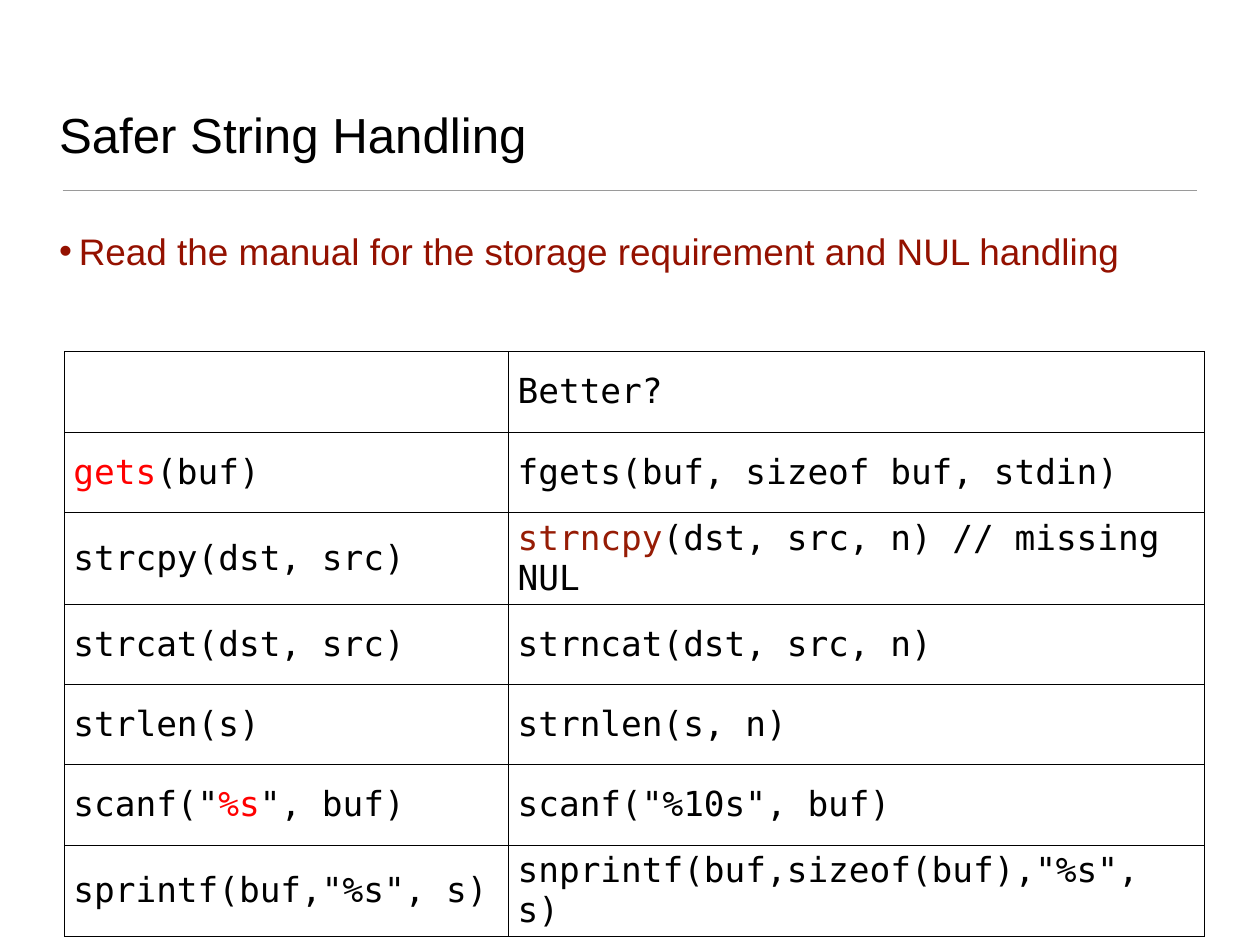
from lxml.etree import SubElement
from pptx import Presentation
from pptx.dml.color import RGBColor
from pptx.enum.shapes import MSO_CONNECTOR
from pptx.enum.text import MSO_ANCHOR
from pptx.oxml.ns import qn
from pptx.util import Pt

BLACK, WHITE, RED, MAROON, BROWN, GREY = (
    "000000", "FFFFFF", "FF0000", "941100", "961C05", "9A9A9A")
MARGINS = ("margin_left", "margin_right", "margin_top", "margin_bottom")
CODE_ROWS = [
    ([], [("Better?", BLACK)]),
    ([("gets", RED), ("(buf)", BLACK)],
     [("fgets(buf, sizeof buf, stdin)", BLACK)]),
    ([("strcpy(dst, src)", BLACK)],
     [("strncpy", BROWN), ("(dst, src, n) // missing NUL", BLACK)]),
    ([("strcat(dst, src)", BLACK)], [("strncat(dst, src, n)", BLACK)]),
    ([("strlen(s)", BLACK)], [("strnlen(s, n)", BLACK)]),
    ([('scanf("', BLACK), ("%s", RED), ('", buf)', BLACK)],
     [('scanf("%10s", buf)', BLACK)]),
    ([('sprintf(buf,"%s", s)', BLACK)],
     [('snprintf(buf,sizeof(buf),"%s", s)', BLACK)]),
]


def color(value):
    """Turn a hex string into a colour."""
    return RGBColor.from_string(value)


def apply(target, formats):
    """Set every format value on the target."""
    for name, value in formats.items():
        setattr(target, name, value)


def add_runs(paragraph, runs, size, font):
    """Append coloured runs to a paragraph."""
    for text, shade in runs:
        run = paragraph.add_run()
        run.text = text
        apply(run.font, {"size": Pt(size), "name": font})
        run.font.color.rgb = color(shade)


def add_line_of_text(slide, box, runs, size, anchor):
    """Place one Arial paragraph in a box and return the paragraph."""
    frame = slide.shapes.add_textbox(*map(Pt, box)).text_frame
    apply(frame, {"word_wrap": True, "vertical_anchor": anchor,
                  **dict.fromkeys(MARGINS, Pt(3))})
    paragraph = frame.paragraphs[0]
    add_runs(paragraph, runs, size, "Arial")
    return paragraph


def add_heading(slide, box):
    """Place the title and the rule below it."""
    left, top, width, height = box
    add_line_of_text(slide, box, [("Safer String Handling", BLACK)], 40, MSO_ANCHOR.BOTTOM)
    rule_y = top + height + 19
    rule = slide.shapes.add_connector(
        MSO_CONNECTOR.STRAIGHT, Pt(left + 6), Pt(rule_y), Pt(left + width - 6), Pt(rule_y))
    rule.line.color.rgb = color(GREY)
    rule.line.width = Pt(1)
    SubElement(rule.element.spPr, qn("a:effectLst"))


def add_advice(slide, box):
    """Place the bulleted advice."""
    advice = add_line_of_text(
        slide, box, [("Read the manual for the storage requirement and NUL handling", MAROON)],
        30, MSO_ANCHOR.TOP)
    advice.space_before = Pt(15)
    properties = advice._p.get_or_add_pPr()
    properties.set("marL", str(Pt(16)))
    properties.set("indent", str(-Pt(16)))
    SubElement(properties, qn("a:buFont"), typeface="Arial")
    SubElement(properties, qn("a:buChar"), char="•")


def format_cell(cell):
    """Give a cell a white fill and thin black borders."""
    cell.vertical_anchor = MSO_ANCHOR.MIDDLE
    properties = cell._tc.get_or_add_tcPr()
    for side in ("lnL", "lnR", "lnT", "lnB"):
        border = SubElement(properties, qn(f"a:{side}"), w=str(Pt(1)))
        SubElement(SubElement(border, qn("a:solidFill")), qn("a:srgbClr"), val=BLACK)
    cell.fill.solid()
    cell.fill.fore_color.rgb = color(WHITE)


def add_comparison(slide, box):
    """Place the table of unsafe calls and their replacements."""
    width = box[2]
    table = slide.shapes.add_table(len(CODE_ROWS), 2, *map(Pt, box)).table
    apply(table, {"first_row": False, "horz_banding": False})
    unsafe_width = 361
    for column, column_width in zip(table.columns, (unsafe_width, width - unsafe_width)):
        column.width = Pt(column_width)
    for row, calls in zip(table.rows, CODE_ROWS):
        for cell, runs in zip(row.cells, calls):
            format_cell(cell)
            add_runs(cell.text_frame.paragraphs[0], runs, 28, "DejaVu Sans Mono")


def main():
    """Build the slide and save it."""
    deck = Presentation()
    apply(deck, {"slide_width": Pt(1024), "slide_height": Pt(768)})
    slide = deck.slides.add_slide(deck.slide_layouts[6])
    add_heading(slide, (45, 26, 934, 110))
    add_advice(slide, (45, 183, 934, 517))
    add_comparison(slide, (52.5, 286, 926.5, 457))
    deck.save("out.pptx")


if __name__ == "__main__":
    main()
